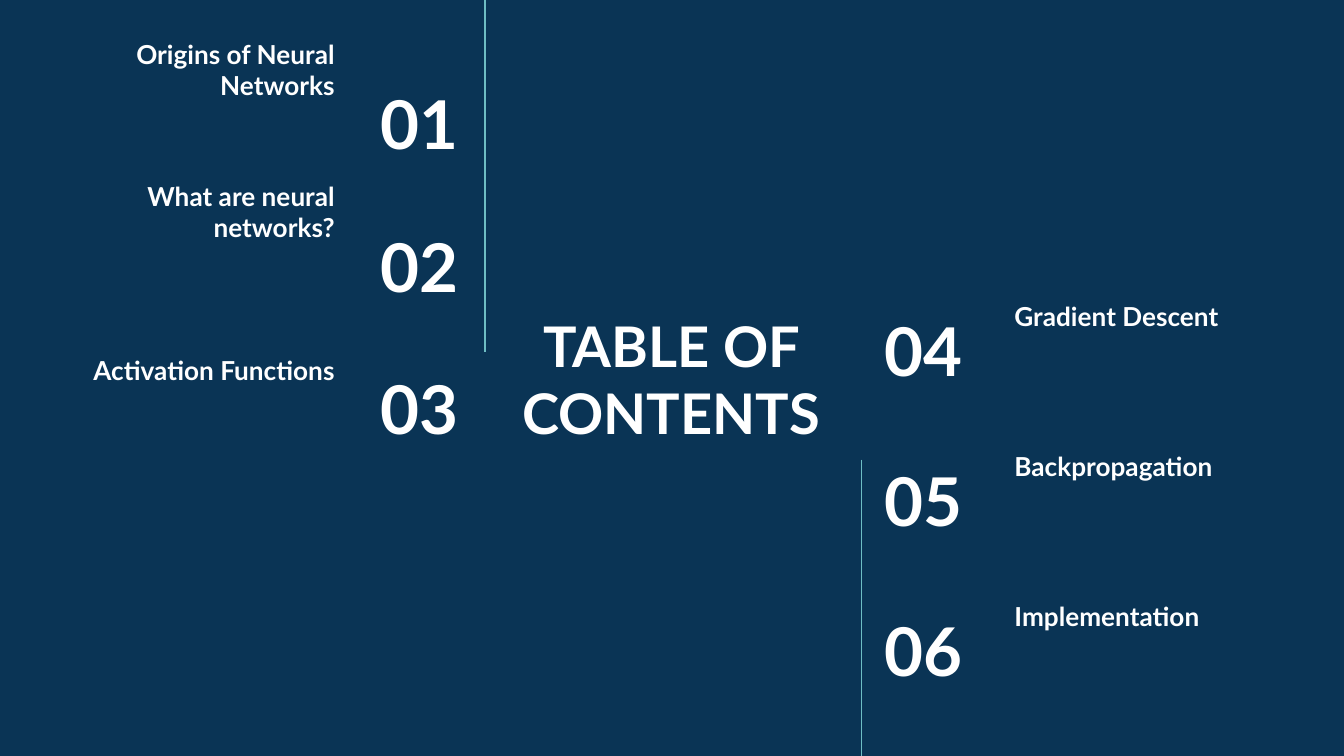
from dataclasses import dataclass

import pptx
import pptx.dml.color
import pptx.enum.shapes
import pptx.enum.text
import pptx.oxml.ns
import pptx.util
from lxml import etree

ALIGN = pptx.enum.text.PP_ALIGN
ANCHOR = pptx.enum.text.MSO_ANCHOR


@dataclass(frozen=True)
class Theme:
    background: str = "0A3455"
    text: str = "FFFFFF"
    rule: str = "6EBDC4"
    font: str = "Lato"
    title_size: int = 30
    number_size: int = 36
    entry_size: int = 14
    rule_width: float = 0.75


@dataclass(frozen=True)
class Column:
    """One side of the contents; lengths are percentages of the slide."""
    entries: tuple
    first_number: int
    align: object
    entry_x: float
    number_x: float
    number_w: float
    entry_y: float
    number_y: float
    step: float


THEME = Theme()
WIDTH = pptx.util.Inches(10)
HEIGHT = WIDTH * 9 // 16
ENTRY_W, ROW_H = 21.6, 11.2

COLUMNS = (
    Column(("Origins of Neural Networks", "What are neural networks?", "Activation Functions"),
           1, ALIGN.RIGHT, 4.3, 23, 12.1, 3.91, 10.67, 18.84),
    Column(("Gradient Descent", "Backpropagation", "Implementation"),
           4, ALIGN.LEFT, 74.5, 64.8, 11.7, 34.49, 40.71, 19.82),
)


def across(share):
    return round(WIDTH * share / 100)


def down(share):
    return round(HEIGHT * share / 100)


def color(value):
    return pptx.dml.color.RGBColor.from_string(value)


def write(sp, text, size, align, anchor):
    """Fill a shape with one bold paragraph in the theme's font."""
    tf = sp.text_frame
    tf.text = text
    tf.word_wrap = True
    tf.auto_size = pptx.enum.text.MSO_AUTO_SIZE.NONE
    tf.vertical_anchor = anchor
    tf.margin_left = tf.margin_right = pptx.util.Inches(0.1)
    tf.margin_top = tf.margin_bottom = pptx.util.Inches(0.1)
    p = tf.paragraphs[0]
    p.alignment = align
    font = p.runs[0].font
    font.name = THEME.font
    font.size = pptx.util.Pt(size)
    font.bold = True
    font.color.rgb = color(THEME.text)


def add_title(s, text):
    sp = s.shapes.title
    sp.left, sp.top = across(37), down(40.89)
    sp.width, sp.height = across(25.9), down(18.31)
    write(sp, text, THEME.title_size, ALIGN.CENTER, ANCHOR.MIDDLE)


def add_text(s, text, x, y, w, size, align, anchor):
    sp = s.shapes.add_textbox(across(x), down(y), across(w), down(ROW_H))
    write(sp, text, size, align, anchor)


def add_column(s, col):
    for i, entry in enumerate(col.entries):
        shift = i * col.step
        add_text(s, entry, col.entry_x, col.entry_y + shift, ENTRY_W,
                 THEME.entry_size, col.align, ANCHOR.BOTTOM)
        add_text(s, f"{col.first_number + i:02}", col.number_x, col.number_y + shift,
                 col.number_w, THEME.number_size, col.align, ANCHOR.MIDDLE)


def add_rule(s, x, top, bottom):
    line = s.shapes.add_connector(pptx.enum.shapes.MSO_CONNECTOR.STRAIGHT,
                                  across(x), down(top), across(x), down(bottom))
    line.line.color.rgb = color(THEME.rule)
    line.line.width = pptx.util.Pt(THEME.rule_width)
    # An empty effect list removes the default shadow
    etree.SubElement(line._element.spPr, pptx.oxml.ns.qn("a:effectLst"))


def main():
    prs = pptx.Presentation()
    prs.slide_width, prs.slide_height = WIDTH, HEIGHT
    s = prs.slides.add_slide(prs.slide_layouts[5])
    s.background.fill.solid()
    s.background.fill.fore_color.rgb = color(THEME.background)

    # Heading between the two columns
    add_title(s, "TABLE OF CONTENTS")

    # Numbered entries
    for col in COLUMNS:
        add_column(s, col)

    # Vertical rules from the slide's top and bottom edges
    add_rule(s, 36.1, 0, 46.58)
    add_rule(s, 64.1, 60.8, 100)

    prs.save("out.pptx")


if __name__ == "__main__":
    main()
